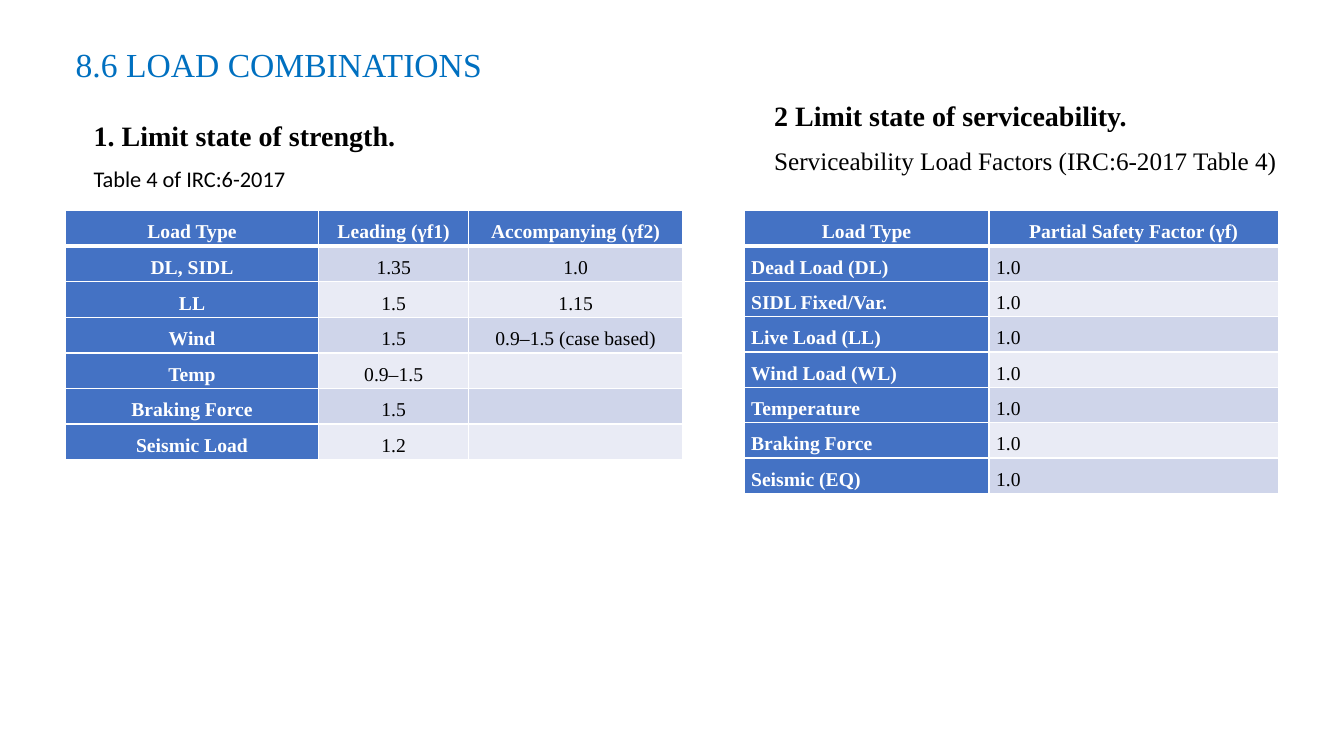
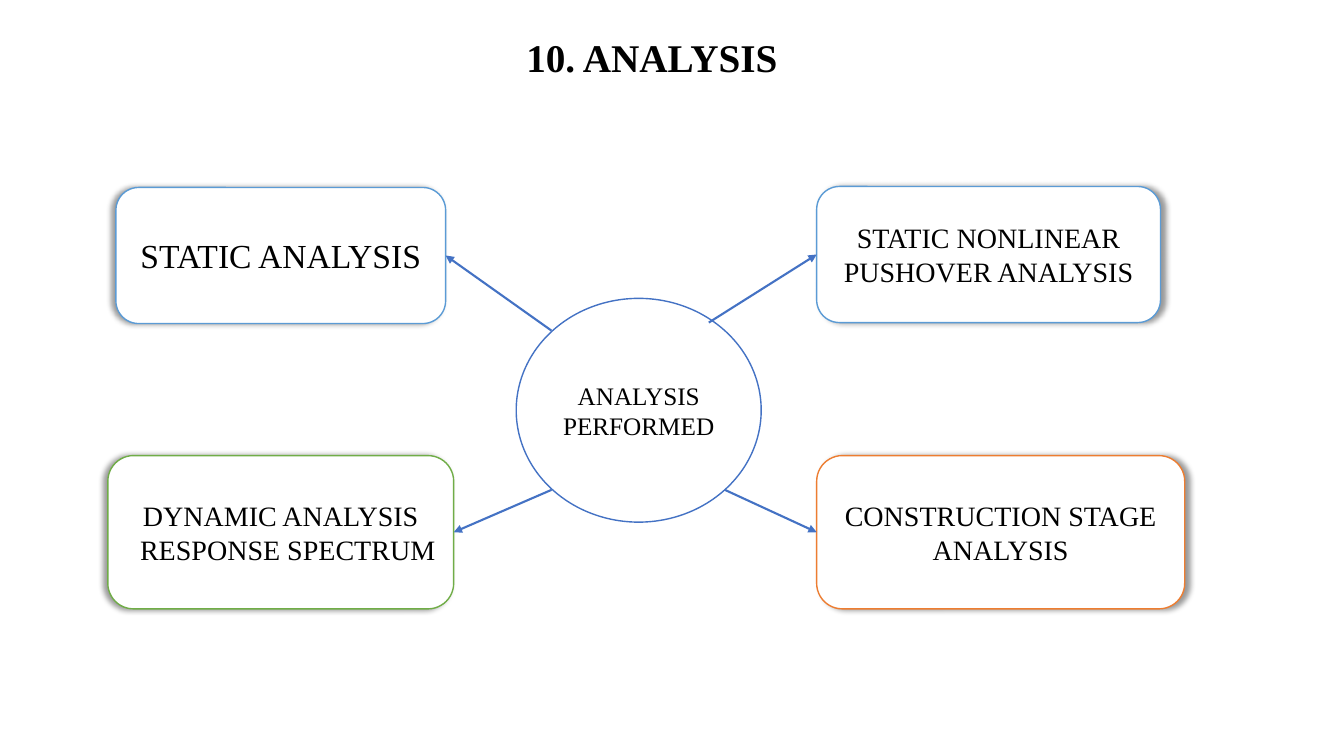
from lxml.etree import SubElement
from pptx import Presentation
from pptx.dml.color import RGBColor
from pptx.enum.shapes import MSO_CONNECTOR as Link, MSO_SHAPE as Kind
from pptx.enum.text import MSO_ANCHOR as Anchor, MSO_AUTO_SIZE as Fit, PP_ALIGN as Align
from pptx.oxml.ns import qn
from pptx.util import Inches, Pt

SERIF, SANS = "Times New Roman", "Calibri"
BLACK, WHITE, BLUE = "000000", "FFFFFF", "4472C4"
SKY, GREEN, ORANGE, TITLE_BLUE = "5B9BD5", "70AD47", "ED7D31", "0070C0"
BANDS = ["CFD5EA", "E9EBF5"]
LEFT_SITE, RIGHT_SITE = 1, 3

STRENGTH = [
    ["Load Type", "Leading (γf1)", "Accompanying (γf2)"],
    ["DL, SIDL", "1.35", "1.0"],
    ["LL", "1.5", "1.15"],
    ["Wind", "1.5", "0.9–1.5 (case based)"],
    ["Temp", "0.9–1.5", ""],
    ["Braking Force", "1.5", ""],
    ["Seismic Load", "1.2", ""],
]
LOADS = ["Dead Load (DL)", "SIDL Fixed/Var.", "Live Load (LL)", "Wind Load (WL)",
         "Temperature", "Braking Force", "Seismic (EQ)"]
SERVICE = [["Load Type", "Partial Safety Factor (γf)"]] + [[load, "1.0"] for load in LOADS]


def rgb(code):
    return RGBColor.from_string(code)


def style(para, size, color=BLACK, bold=False, face=SERIF, align=Align.LEFT):
    para.alignment = align
    font = para.font
    font.size, font.bold, font.name = Pt(size), bold, face
    font.color.rgb = rgb(color)


def add_slide(deck, title, box, size, color, bold=False):
    """Add a title-only slide whose title fills the given box."""
    slide = deck.slides.add_slide(deck.slide_layouts[5])
    head = slide.shapes.title
    head.left, head.top, head.width, head.height = map(Inches, box)
    frame = head.text_frame
    frame.text = title
    frame.word_wrap = False
    frame.auto_size = Fit.SHAPE_TO_FIT_TEXT
    frame.vertical_anchor = Anchor.TOP
    style(frame.paragraphs[0], size, color, bold)
    return slide


def add_note(slide, box, head, sub, size, face):
    """Add a bold heading with a plain line under it."""
    frame = slide.shapes.add_textbox(*map(Inches, box)).text_frame
    frame.word_wrap = True
    frame.text = f"{head}\n{sub}"
    first, second = frame.paragraphs
    style(first, 20, bold=True)
    style(second, size, face=face)
    for para in (first, second):
        para.line_spacing = 1.07
        para.space_after = Pt(8)


def set_edges(cell, top, bottom):
    """Draw white cell borders with the given top and bottom widths."""
    props = cell._tc.get_or_add_tcPr()
    widths = {"lnL": 1, "lnR": 1, "lnT": top, "lnB": bottom}
    for spot, (tag, width) in enumerate(widths.items()):
        line = SubElement(props, qn(f"a:{tag}"), w=str(Pt(width)))
        fill = SubElement(line, qn("a:solidFill"))
        SubElement(fill, qn("a:srgbClr"), val=WHITE)
        props.insert(spot, line)


def fill_cell(cell, text, row, col, align):
    head = row == 0 or col == 0
    cell.margin_left = cell.margin_right = Inches(0.07)
    cell.margin_top = cell.margin_bottom = 0
    cell.text = text
    para = cell.text_frame.paragraphs[0]
    style(para, 14, WHITE if head else BLACK, head, align=align)
    para.line_spacing = 1.5
    cell.fill.solid()
    cell.fill.fore_color.rgb = rgb(BLUE if head else BANDS[(row - 1) % 2])
    set_edges(cell, 3 if row == 1 else 1, 3 if row == 0 else 1)


def add_grid(slide, left, height, widths, rows, align):
    """Add a load table with a header row and a header column."""
    table = slide.shapes.add_table(
        len(rows), len(widths), Inches(left), Inches(2.09),
        Inches(sum(widths)), Inches(height)).table
    table.first_col = True
    for col, width in enumerate(widths):
        table.columns[col].width = Inches(width)
    for row, texts in enumerate(rows):
        for col, text in enumerate(texts):
            fill_cell(table.cell(row, col), text, row, col,
                      align if row else Align.CENTER)


def add_node(slide, kind, box, text, size, color):
    node = slide.shapes.add_shape(kind, *map(Inches, box))
    node.shadow.inherit = False
    node.fill.solid()
    node.fill.fore_color.rgb = rgb(WHITE)
    node.line.color.rgb = rgb(color)
    node.line.width = Pt(1)
    frame = node.text_frame
    frame.word_wrap = True
    frame.vertical_anchor = Anchor.MIDDLE
    frame.text = text
    for para in frame.paragraphs:
        style(para, size, align=Align.CENTER)
    return node


def add_shade(node, angle):
    """Cast a soft shadow towards the angle in degrees."""
    effects = node._element.spPr.find(qn("a:effectLst"))
    shade = SubElement(effects, qn("a:outerShdw"), blurRad=str(Pt(4)),
                       dist=str(Pt(3)), dir=str(angle * 60000), rotWithShape="0")
    color = SubElement(shade, qn("a:srgbClr"), val=BLACK)
    SubElement(color, qn("a:alpha"), val="40000")


def add_arrow(slide, start, node, site):
    x, y = map(Inches, start)
    arrow = slide.shapes.add_connector(Link.STRAIGHT, x, y, x, y)
    arrow.end_connect(node, site)
    arrow.line.color.rgb = rgb(BLUE)
    arrow.line.width = Pt(1.5)
    SubElement(arrow.line._get_or_add_ln(), qn("a:tailEnd"), type="triangle")
    SubElement(arrow._element.spPr, qn("a:effectLst"))


def add_loads(deck):
    slide = add_slide(deck, "8.6 LOAD COMBINATIONS", (0.65, 0.39, 4.27, 0.5), 24, TITLE_BLUE)
    add_grid(slide, 0.65, 2.47, [2.51, 1.49, 2.12], STRENGTH, Align.CENTER)
    add_note(slide, (0.83, 1.1, 6.67, 0.85), "1. Limit state of strength.",
             "Table 4 of IRC:6-2017", 16, SANS)
    add_note(slide, (7.58, 0.9, 5.7, 0.88), "2 Limit state of serviceability.",
             "Serviceability Load Factors (IRC:6-2017 Table 4)", 18, SERIF)
    add_grid(slide, 7.38, 2.8, [2.43, 2.87], SERVICE, Align.LEFT)


def add_methods(deck):
    slide = add_slide(deck, "10. ANALYSIS", (5.12, 0.28, 2.72, 0.57), 28, BLACK, True)
    methods = [
        ((1.15, 1.86, 3.27, 1.35), "STATIC ANALYSIS", 24, SKY, (5.47, 3.28)),
        ((8.1, 1.85, 3.41, 1.35), "STATIC NONLINEAR\nPUSHOVER ANALYSIS", 20, SKY, (7.03, 3.2)),
        ((1.07, 4.52, 3.43, 1.52), "DYNAMIC ANALYSIS\nRESPONSE SPECTRUM", 20, GREEN, (5.47, 4.86)),
        ((8.1, 4.52, 3.65, 1.52), "CONSTRUCTION STAGE ANALYSIS", 20, ORANGE, (7.19, 4.86)),
    ]
    nodes = [add_node(slide, Kind.ROUNDED_RECTANGLE, *method[:4]) for method in methods]
    spectrum = nodes[2].text_frame.paragraphs[1]
    spectrum._p.get_or_add_pPr().set("marL", str(Inches(0.14)))
    add_node(slide, Kind.OVAL, (5.12, 2.96, 2.43, 2.22), "ANALYSIS PERFORMED", 18, BLUE)
    for spot, (node, method) in enumerate(zip(nodes, methods)):
        west = spot % 2 == 0
        add_shade(node, 180 if west else 0)
        add_arrow(slide, method[-1], node, RIGHT_SITE if west else LEFT_SITE)


def main():
    deck = Presentation()
    deck.slide_width, deck.slide_height = Inches(13.33), Inches(7.5)
    add_loads(deck)
    add_methods(deck)
    deck.save("out.pptx")


if __name__ == "__main__":
    main()
